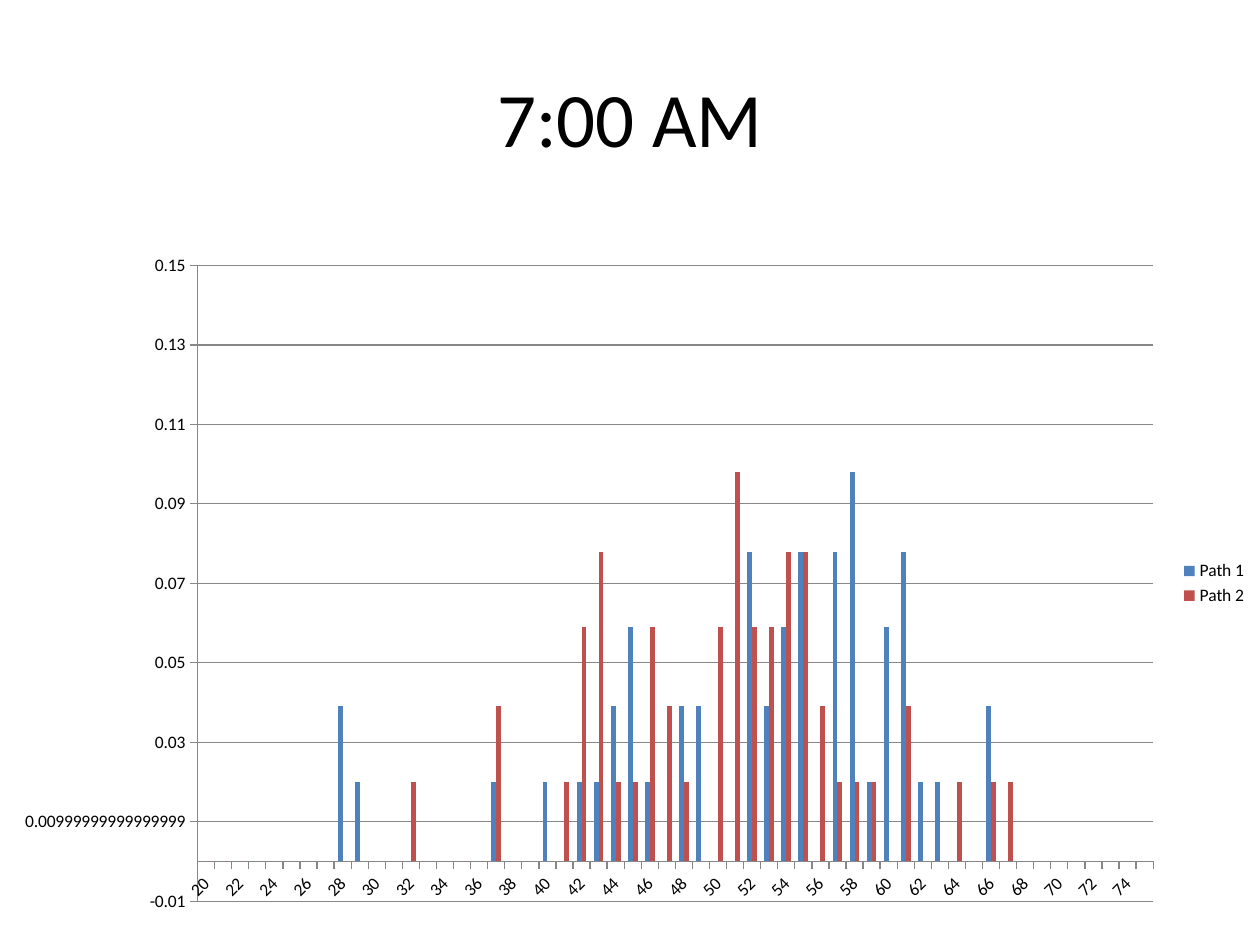
from dataclasses import dataclass

from pptx import Presentation
from pptx.chart.data import CategoryChartData
from pptx.dml.color import RGBColor
from pptx.enum.chart import XL_CHART_TYPE, XL_LEGEND_POSITION, XL_TICK_MARK
from pptx.enum.text import MSO_ANCHOR, PP_ALIGN
from pptx.util import Inches, Pt


@dataclass(frozen=True)
class Theme:
    """Colours, font and type sizes of the slide."""
    font: str = "Calibri"
    text: RGBColor = RGBColor(0, 0, 0)
    axis: RGBColor = RGBColor(0x87, 0x87, 0x87)
    title_size: Pt = Pt(44)
    chart_size: Pt = Pt(10)


@dataclass(frozen=True)
class Path:
    """A histogram series; minutes that are not listed have share zero."""
    name: str
    color: RGBColor
    shares: dict[float, list[int]]

    def values(self) -> list[float]:
        """Return one share for each minute on the axis."""
        by_minute = {m: share for share, group in self.shares.items() for m in group}
        return [by_minute.get(minute, 0) for minute in MINUTES]


THEME = Theme()
MINUTES = range(20, 76)
PATHS = [
    Path("Path 1", RGBColor(0x4F, 0x81, 0xBD), {
        0.02: [29, 37, 40, 42, 43, 46, 59, 62, 63],
        0.039: [28, 44, 48, 49, 53, 66],
        0.059: [45, 54, 60],
        0.078: [52, 55, 57, 61],
        0.098: [58],
    }),
    Path("Path 2", RGBColor(0xC0, 0x50, 0x4D), {
        0.02: [32, 41, 44, 45, 48, 57, 58, 59, 64, 66, 67],
        0.039: [37, 47, 56, 61],
        0.059: [42, 46, 50, 52, 53],
        0.078: [43, 54, 55],
        0.098: [51],
    }),
]


def style_font(font, size: Pt) -> None:
    """Apply the theme font at the given size."""
    font.name, font.size = THEME.font, size
    font.color.rgb = THEME.text


def add_title(slide, text: str) -> None:
    """Add the centred title."""
    frame = slide.shapes.add_textbox(Inches(0.5), Inches(0.3), Inches(9), Inches(1.25)).text_frame
    frame.word_wrap = True
    frame.vertical_anchor = MSO_ANCHOR.MIDDLE
    paragraph = frame.paragraphs[0]
    paragraph.alignment = PP_ALIGN.CENTER
    run = paragraph.add_run()
    run.text = text
    style_font(run.font, THEME.title_size)


def style_axis(axis) -> None:
    """Give an axis its thin grey line and outside ticks."""
    axis.major_tick_mark = XL_TICK_MARK.OUTSIDE
    axis.minor_tick_mark = XL_TICK_MARK.NONE
    axis.format.line.color.rgb = THEME.axis
    axis.format.line.width = Pt(0.75)


def add_histogram(slide, paths: list[Path]) -> None:
    """Add the clustered columns of all paths."""
    data = CategoryChartData()
    data.categories = [str(minute) for minute in MINUTES]
    for path in paths:
        data.add_series(path.name, path.values())
    chart = slide.shapes.add_chart(XL_CHART_TYPE.COLUMN_CLUSTERED, Inches(0), Inches(1.92),
                                   Inches(10), Inches(5.42), data).chart
    style_font(chart.font, THEME.chart_size)
    chart.has_title = False
    chart.has_legend = True
    chart.legend.position = XL_LEGEND_POSITION.RIGHT
    chart.legend.include_in_layout = False

    plot = chart.plots[0]
    plot.vary_by_categories = False
    plot.gap_width, plot.overlap = 150, 0
    for series, path in zip(plot.series, paths):
        series.format.fill.solid()
        series.format.fill.fore_color.rgb = path.color
        series.invert_if_negative = False

    for axis in (chart.category_axis, chart.value_axis):
        style_axis(axis)
    shares = chart.value_axis
    shares.maximum_scale = 0.15
    shares.tick_labels.number_format = "General"
    shares.tick_labels.number_format_is_linked = False
    shares.has_major_gridlines = True
    shares.major_gridlines.format.line.color.rgb = THEME.axis
    shares.major_gridlines.format.line.width = Pt(0.75)


def main() -> None:
    """Build and save the slide."""
    deck = Presentation()
    deck.slide_width, deck.slide_height = Inches(10), Inches(7.5)
    slide = deck.slides.add_slide(deck.slide_layouts[6])
    add_title(slide, "7:00 AM")
    add_histogram(slide, PATHS)
    deck.save("out.pptx")


main()
